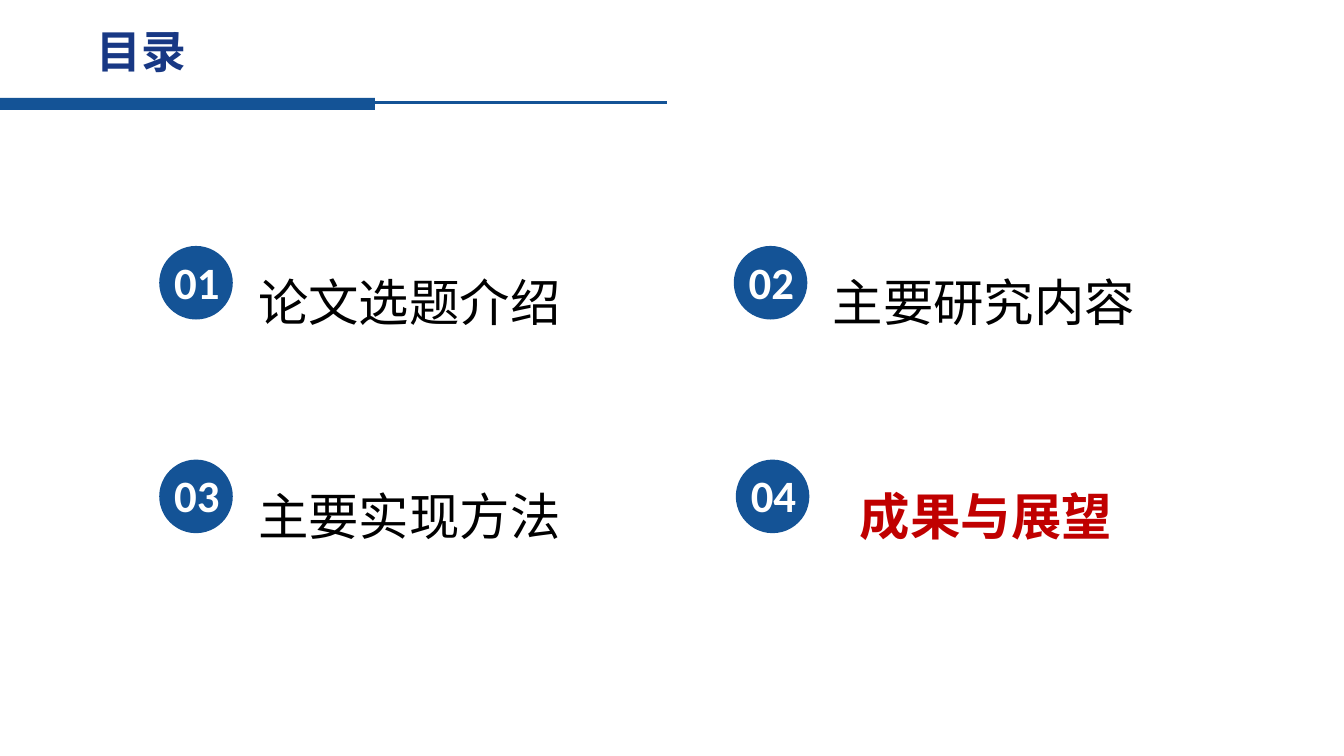
"""Build the table-of-contents slide with four numbered entries."""
from dataclasses import dataclass

from lxml import etree
from pptx import Presentation
from pptx import util as u
from pptx.dml.color import RGBColor
from pptx.enum import shapes, text
from pptx.oxml.ns import qn

COLORS = {"blue": "145396", "title": "183884", "white": "FFFFFF",
          "black": "000000", "red": "C00000"}
CJK = "Noto Sans CJK SC"
LEFT, TOP, ROW_STEP, BADGE = 113.76, 175.68, 152.64, 52.56


@dataclass
class Entry:
    number: str
    label: str
    x: float
    row: int
    color: str = "black"
    bold: bool = False


ENTRIES = [
    Entry("01", "论文选题介绍", LEFT, 0),
    Entry("03", "主要实现方法", LEFT, 1),
    Entry("02", "主要研究内容", 524.16, 0),
    Entry("04", "成果与展望", 525.6, 1, "red", True),
]


def rgb(name: str) -> RGBColor:
    return RGBColor.from_string(COLORS[name])


def add_block(parent, kind, x: float, y: float, w: float, h: float):
    sp = parent.add_shape(kind, u.Pt(x), u.Pt(y), u.Pt(w), u.Pt(h))
    sp.shadow.inherit = False
    sp.fill.solid()
    sp.fill.fore_color.rgb = rgb("blue")
    sp.line.fill.background()
    return sp


def add_text(parent, words: str, x: float, y: float, w: float, h: float,
             font: dict, color: str, wrap: bool = True, para: dict | None = None):
    tf = parent.add_textbox(u.Pt(x), u.Pt(y), u.Pt(w), u.Pt(h)).text_frame
    tf.word_wrap = wrap
    tf.auto_size = text.MSO_AUTO_SIZE.SHAPE_TO_FIT_TEXT
    p = tf.paragraphs[0]
    for key, value in (para or {}).items():
        setattr(p, key, value)
    r = p.add_run()
    r.text = words
    for key, value in font.items():
        setattr(r.font, key, value)
    r.font.color.rgb = rgb(color)
    ea = etree.SubElement(r.font._element, qn("a:ea"))
    ea.set("typeface", font["name"])


def add_header(s) -> None:
    add_block(s.shapes, shapes.MSO_SHAPE.RECTANGLE, 0, 69.84, 267.84, 8.64)
    rule = s.shapes.add_connector(shapes.MSO_CONNECTOR.STRAIGHT,
                                  u.Pt(264.96), u.Pt(73.44), u.Pt(476.64), u.Pt(73.44))
    rule.line.color.rgb = rgb("blue")
    rule.line.width = u.Pt(2.25)
    etree.SubElement(rule._element.spPr, qn("a:effectLst"))
    add_text(s.shapes, "目录", 61.92, 13.68, 897.84, 46.08,
             {"name": CJK, "size": u.Pt(32), "bold": True}, "title")


def add_entry(s, e: Entry) -> None:
    y = TOP + e.row * ROW_STEP
    group = s.shapes.add_group_shape().shapes
    add_text(group, e.label, e.x + 1.44, y - 28.8, 354.24, 81.36,
             {"name": CJK, "size": u.Pt(36), "bold": e.bold}, e.color,
             para={"alignment": text.PP_ALIGN.CENTER, "line_spacing": 2.0})
    add_block(group, shapes.MSO_SHAPE.OVAL, e.x, y, BADGE, BADGE)
    add_text(group, e.number, e.x + 3.6, y + 2.5, 47.52, 46.08,
             {"name": "Calibri", "size": u.Pt(32), "bold": True}, "white", wrap=False)


def main() -> None:
    prs = Presentation()
    prs.slide_width, prs.slide_height = u.Pt(960), u.Pt(540)
    s = prs.slides.add_slide(prs.slide_layouts[6])
    add_header(s)
    for e in ENTRIES:
        add_entry(s, e)
    prs.save("out.pptx")


if __name__ == "__main__":
    main()
